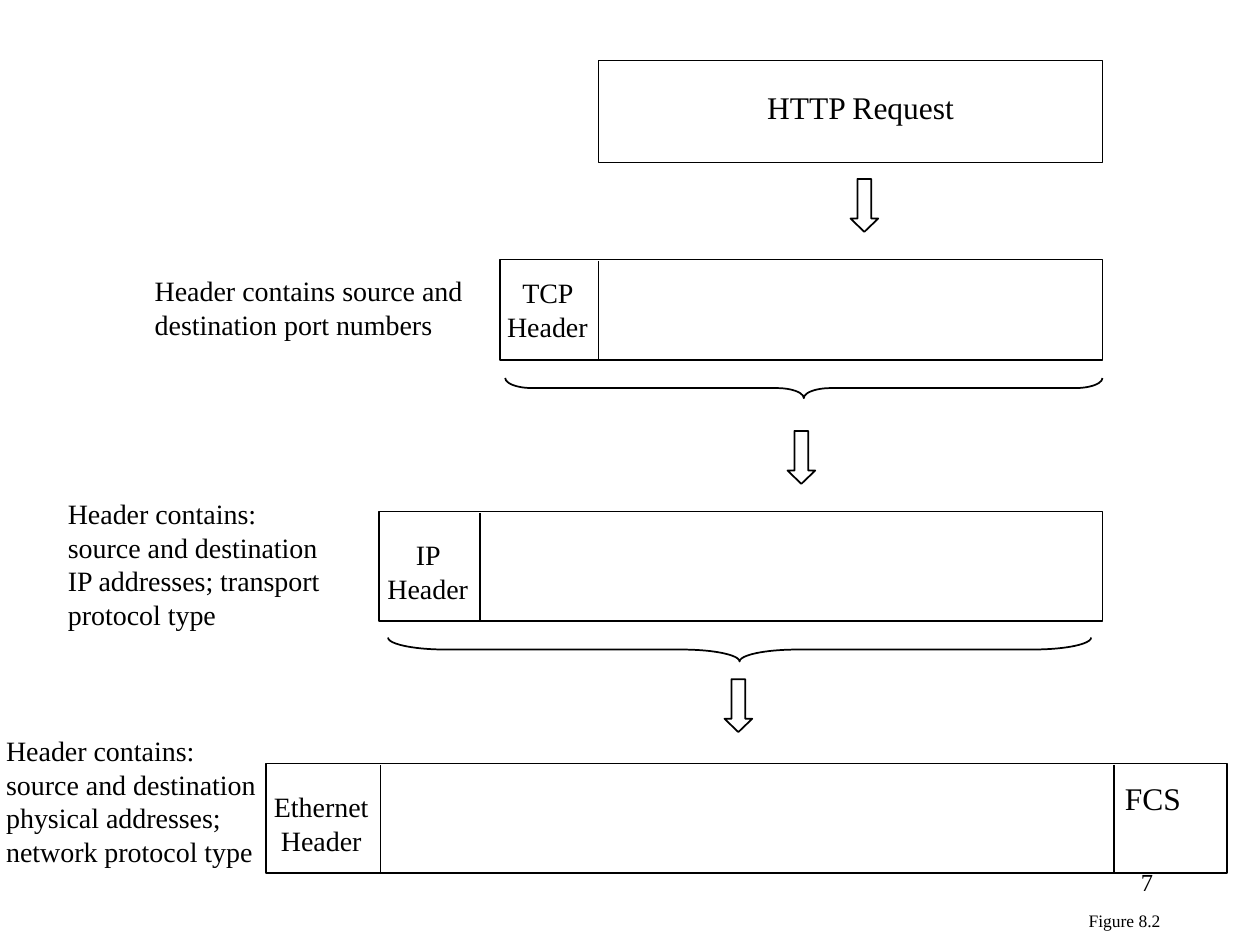
from pptx import Presentation
from pptx.dml.color import RGBColor
from pptx.enum.shapes import MSO_CONNECTOR, MSO_SHAPE
from pptx.enum.text import MSO_ANCHOR, PP_ALIGN
from pptx.oxml.ns import qn
from pptx.util import Inches, Pt

RECT, ARROW, BRACE = MSO_SHAPE.RECTANGLE, MSO_SHAPE.DOWN_ARROW, MSO_SHAPE.LEFT_BRACE
LINE = MSO_CONNECTOR.STRAIGHT
LEFT, CENTER, RIGHT = PP_ALIGN.LEFT, PP_ALIGN.CENTER, PP_ALIGN.RIGHT
TOP, MIDDLE = MSO_ANCHOR.TOP, MSO_ANCHOR.MIDDLE

THEME = {
    "font": "Times New Roman",
    "ink": RGBColor(0, 0, 0),
    "paper": RGBColor(255, 255, 255),
    "line": Pt(1),
    "large": 18, "body": 16, "number": 14, "small": 10,
}

# Packets: left, top, width, height, x of each divider
PACKETS = [
    (4.75, 0.48, 4, 0.81, []),
    (3.97, 2.06, 4.78, 0.8, [4.75]),
    (3.01, 4.06, 5.74, 0.87, [3.81]),
    (2.11, 6.06, 7.63, 0.87, [3.02, 8.84]),
]
# Arrows: left, top
ARROWS = [(6.75, 1.42), (6.25, 3.42), (5.75, 5.39)]
# Braces: left, top, width, height, curve
BRACES = [(4.01, 3, 4.74, 0.16, 1.35), (3.08, 5.06, 5.58, 0.19, 2.42)]
# Text: wording, left, top, width, height
HEADERS = [
    ("TCP Header", 3.83, 2.14, 1.03, 0.63),
    ("IP Header", 2.9, 4.22, 0.99, 0.63),
    ("Ethernet Header", 1.97, 6.22, 1.16, 0.63),
]
NOTES = [
    ("Header contains source and destination port numbers", 1.13, 2.12, 2.67, 0.64),
    ("Header contains: source and destination IP addresses; transport protocol type",
     0.44, 3.89, 2.25, 1.17),
    ("Header contains: source and destination physical addresses; network protocol type",
     -0.05, 5.77, 2.28, 1.17),
]
LABELS = [
    ("HTTP Request", 5.99, 0.65, 1.75, 0.4),
    ("FCS", 8.83, 6.13, 0.7, 0.4),
]
CAPTION = ("Figure 8.2", 8.54, 7.17, 0.77, 0.27)
NUMBER = ("7", 7.17, 6.83, 2.08, 0.5)


def ink(item):
    item.line.color.rgb = THEME["ink"]
    item.line.width = THEME["line"]


def add_shape(slide, kind, box, filled=False):
    shape = slide.shapes.add_shape(kind, *map(Inches, box))
    shape.shadow.inherit = False
    if filled:
        shape.fill.solid()
        shape.fill.fore_color.rgb = THEME["paper"]
    else:
        shape.fill.background()
    ink(shape)
    return shape


def add_rule(slide, x, top, bottom):
    rule = slide.shapes.add_connector(LINE, *map(Inches, (x, top, x, bottom)))
    ink(rule)
    props = rule._element.spPr
    props.append(props.makeelement(qn("a:effectLst"), {}))


def add_brace(slide, left, top, width, height, curve):
    """Turn an upright brace about its centre so that its tip points down."""
    shift = (width - height) / 2
    brace = add_shape(slide, BRACE, (left + shift, top - shift, height, width))
    brace.rotation = 270
    brace.adjustments[0] = curve


def add_text(slide, item, size, align=LEFT, anchor=TOP, before=0, wrap=True):
    words, *box = item
    frame = slide.shapes.add_textbox(*map(Inches, box)).text_frame
    frame.word_wrap = wrap
    frame.vertical_anchor = anchor
    para = frame.paragraphs[0]
    para.text = words
    para.alignment = align
    para.space_before = Pt(before)
    para.font.name = THEME["font"]
    para.font.size = Pt(THEME[size])
    para.font.color.rgb = THEME["ink"]


def main():
    deck = Presentation()
    deck.slide_width, deck.slide_height = Inches(10), Inches(7.5)
    slide = deck.slides.add_slide(deck.slide_layouts[6])

    for left, top, width, height, rules in PACKETS:
        add_shape(slide, RECT, (left, top, width, height))
        for x in rules:
            add_rule(slide, x, top + 0.01, top + height)
    for left, top in ARROWS:
        arrow = add_shape(slide, ARROW, (left, top, 0.22, 0.42), filled=True)
        arrow.adjustments[0] = 0.5
        arrow.adjustments[1] = 0.48
    for brace in BRACES:
        add_brace(slide, *brace)

    for item in HEADERS:
        add_text(slide, item, "body", CENTER)
    for item in NOTES:
        add_text(slide, item, "body", anchor=MIDDLE, before=10)
    for item in LABELS:
        add_text(slide, item, "large", wrap=False)
    add_text(slide, CAPTION, "small", CENTER, MIDDLE, before=6.2, wrap=False)
    add_text(slide, NUMBER, "number", RIGHT)
    deck.save("out.pptx")


if __name__ == "__main__":
    main()
